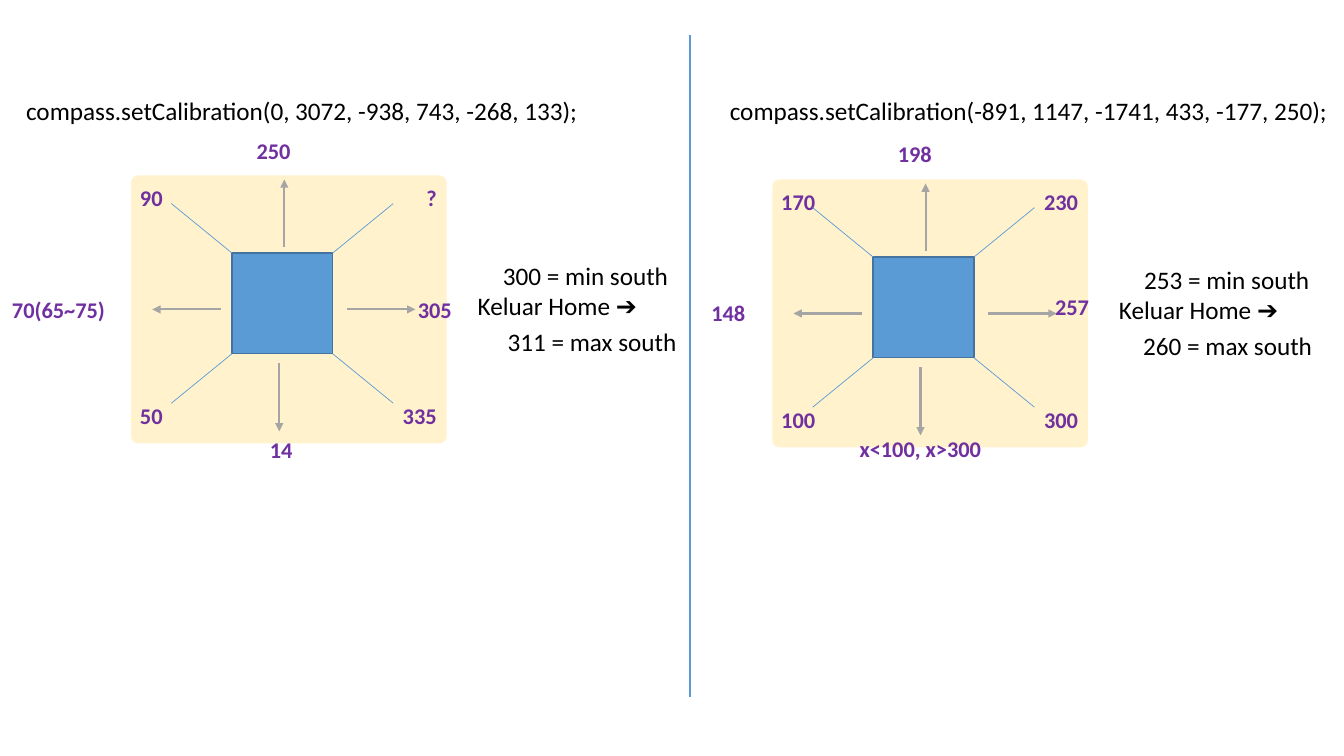
from lxml.etree import SubElement
from pptx import Presentation
from pptx.dml.color import RGBColor
from pptx.enum.shapes import MSO_CONNECTOR as Connector, MSO_SHAPE as Shape
from pptx.enum.text import MSO_AUTO_SIZE as AutoSize, PP_ALIGN as Align
from pptx.oxml.ns import qn
from pptx.util import Inches, Pt

COLORS = {"card": "FFF2CC", "robot": "5B9BD5", "robot_edge": "43739E",
          "arrow": "A5A5A5", "reading": "7030A0", "text": "000000"}
COLUMNS, ROWS = 13.33, 7.5  # grid of one-inch cells
LABEL_HEIGHT, NOTE_HEIGHT = 0.37, 0.4

# Arrow ends, as offsets from the robot's centre
ARROWS = [((0.64, 0.06), (1.32, 0.06)), ((-0.61, 0.06), (-1.29, 0.06)),
          ((0.02, -0.56), (0.02, -1.23)), ((-0.03, 0.59), (-0.03, 1.27))]
# Left, top and width of the notes, from the robot's centre
NOTE_PLACES = [(1.84, -0.18, 1.86), (2.09, -0.48, 1.86), (2.08, 0.18, 1.95)]

# Corners run NW, NE, SW, SE; sides hold text, right edge, top and width
COMPASSES = [
    {"center": (2.8, 3.01),
     "corners": ["90", "?", "50", "335"],
     "sides": [("305", 1.78, -0.12, 0.54), ("250", 0.18, -1.7, 0.54),
               ("70(65~75)", -1.66, -0.12, 1.14), ("14", 0.2, 1.27, 0.43)],
     "notes": ["Keluar Home ➔", "300 = min south", " 311 = max south"],
     "code": ("compass.setCalibration(0, 3072, -938, 743, -268, 133); ", 0.16, 5.79)},
    {"center": (9.16, 3.05),
     "corners": ["170", "230", "100", "300"],
     "sides": [("257", 1.74, -0.19, 0.54), ("198", 0.18, -1.71, 0.54),
               ("148", -1.67, -0.13, 0.54), ("x<100, x>300", 0.67, 1.22, 1.43)],
     "notes": ["Keluar Home ➔", "253 = min south", "260 = max south"],
     "code": ("compass.setCalibration(-891, 1147, -1741, 433, -177, 250);", 7.14, 6.2)},
]


def color(name):
    return RGBColor.from_string(COLORS[name])


def cells(*values):
    return [Inches(value) for value in values]


def add_text(shapes, text, left, top, width, height, size, tone, bold=False, align=Align.LEFT):
    box = shapes.add_textbox(*cells(left, top, width, height))
    frame = box.text_frame
    frame.word_wrap = False
    frame.auto_size = AutoSize.SHAPE_TO_FIT_TEXT
    para = frame.paragraphs[0]
    para.alignment = align
    span = para.add_run()
    span.text = text
    span.font.name = "Calibri"
    span.font.size = Pt(size)
    span.font.bold = bold
    span.font.color.rgb = color(tone)


def add_reading(shapes, text, left, top, width, align=Align.RIGHT):
    add_text(shapes, text, left, top, width, LABEL_HEIGHT, 16, "reading", True, align)


def add_note(shapes, text, left, top, width):
    add_text(shapes, text, left, top, width, NOTE_HEIGHT, 18, "text")


def add_block(shapes, kind, left, top, width, height, fill, edge=None):
    block = shapes.add_shape(kind, *cells(left, top, width, height))
    block.shadow.inherit = False
    block.fill.solid()
    block.fill.fore_color.rgb = color(fill)
    if edge:
        block.line.color.rgb = color(edge)
        block.line.width = Pt(1)
    else:
        block.line.fill.background()
    return block


def add_line(shapes, start, end, tone, weight, arrow=False):
    line = shapes.add_connector(Connector.STRAIGHT, *cells(*start, *end))
    line.line.color.rgb = color(tone)
    line.line.width = Pt(weight)
    if arrow:
        SubElement(line.line._get_or_add_ln(), qn("a:tailEnd"), type="triangle")
    SubElement(line._element.spPr, qn("a:effectLst"))


def add_card(page, x, y, corners):
    shapes = page.shapes.add_group_shape().shapes
    card = add_block(shapes, Shape.ROUNDED_RECTANGLE, x - 1.5, y - 1.27, 3.13, 2.66, "card")
    card.adjustments[0] = 0.027
    add_block(shapes, Shape.RECTANGLE, x - 0.5, y - 0.5, 1, 1, "robot", "robot_edge")
    directions = [(-1, -1), (1, -1), (-1, 1), (1, 1)]
    for text, (across, down) in zip(corners, directions):
        width = 0.2 + 0.113 * len(text)
        left = x - 1.51 if across < 0 else x + 1.63 - width
        top = y + (-1.23 if down < 0 else 0.93)
        add_reading(shapes, text, left, top, width, Align.LEFT if across < 0 else Align.RIGHT)
        add_line(shapes, (x + 0.5 * across, y + 0.5 * down),
                 (x + 1.1 * across, y + 0.99 * down), "robot", 0.5)


def add_compass(page, center, corners, sides, notes, code):
    x, y = center
    add_card(page, x, y, corners)
    for start, end in ARROWS:
        add_line(page.shapes, (x + start[0], y + start[1]),
                 (x + end[0], y + end[1]), "arrow", 1.5, arrow=True)
    for text, right, top, width in sides:
        add_reading(page.shapes, text, x + right - width, y + top, width)
    for text, (left, top, width) in zip(notes, NOTE_PLACES):
        add_note(page.shapes, text, x + left, y + top, width)
    text, left, width = code
    add_note(page.shapes, text, left, 0.9, width)


def main():
    deck = Presentation()
    deck.slide_width, deck.slide_height = cells(COLUMNS, ROWS)
    page = deck.slides.add_slide(deck.slide_layouts[6])
    # Calibration results on either side of the divider
    for compass in COMPASSES:
        add_compass(page, **compass)
    add_line(page.shapes, (6.84, 0.35), (6.84, 6.91), "robot", 1.5)
    deck.save("out.pptx")


main()
